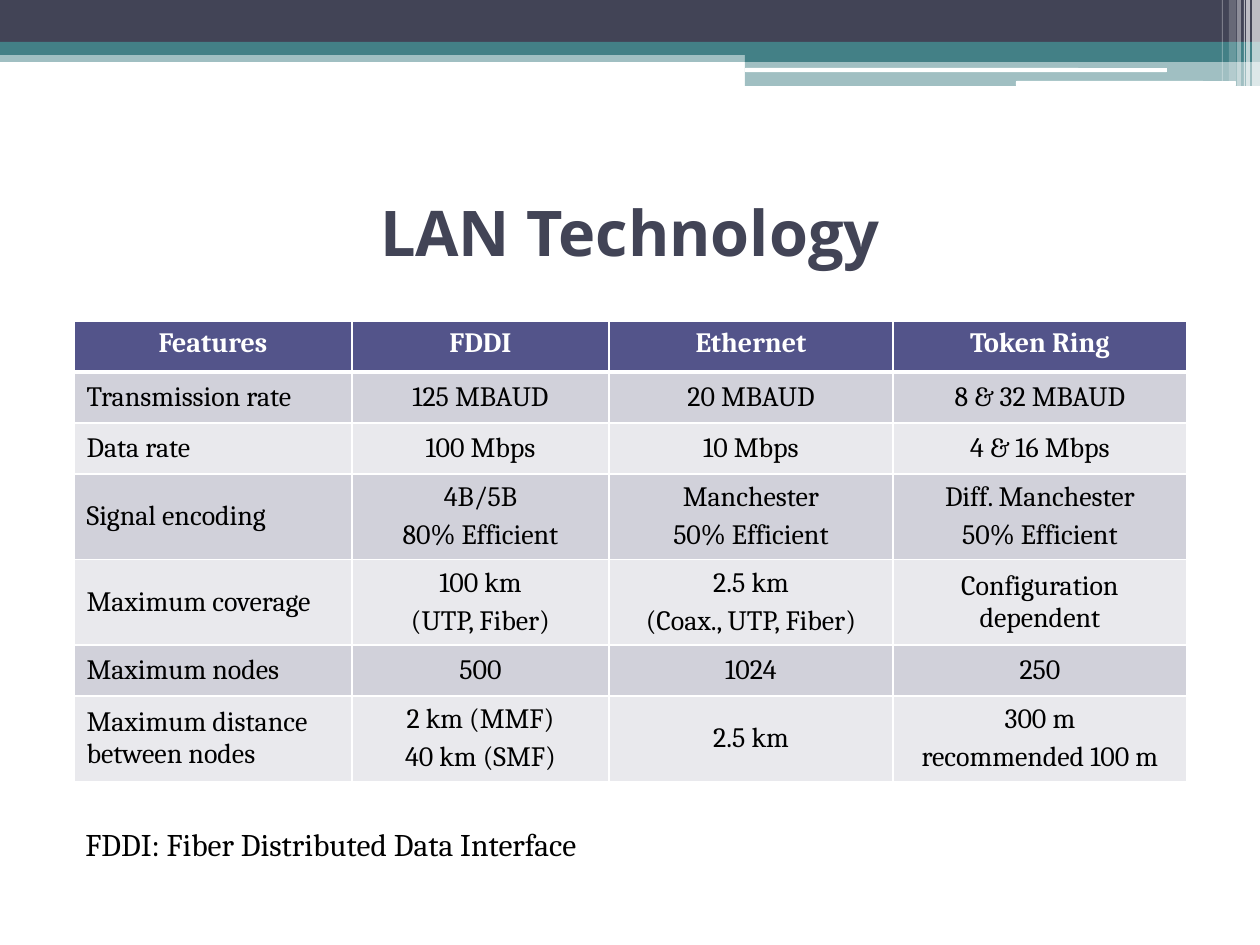
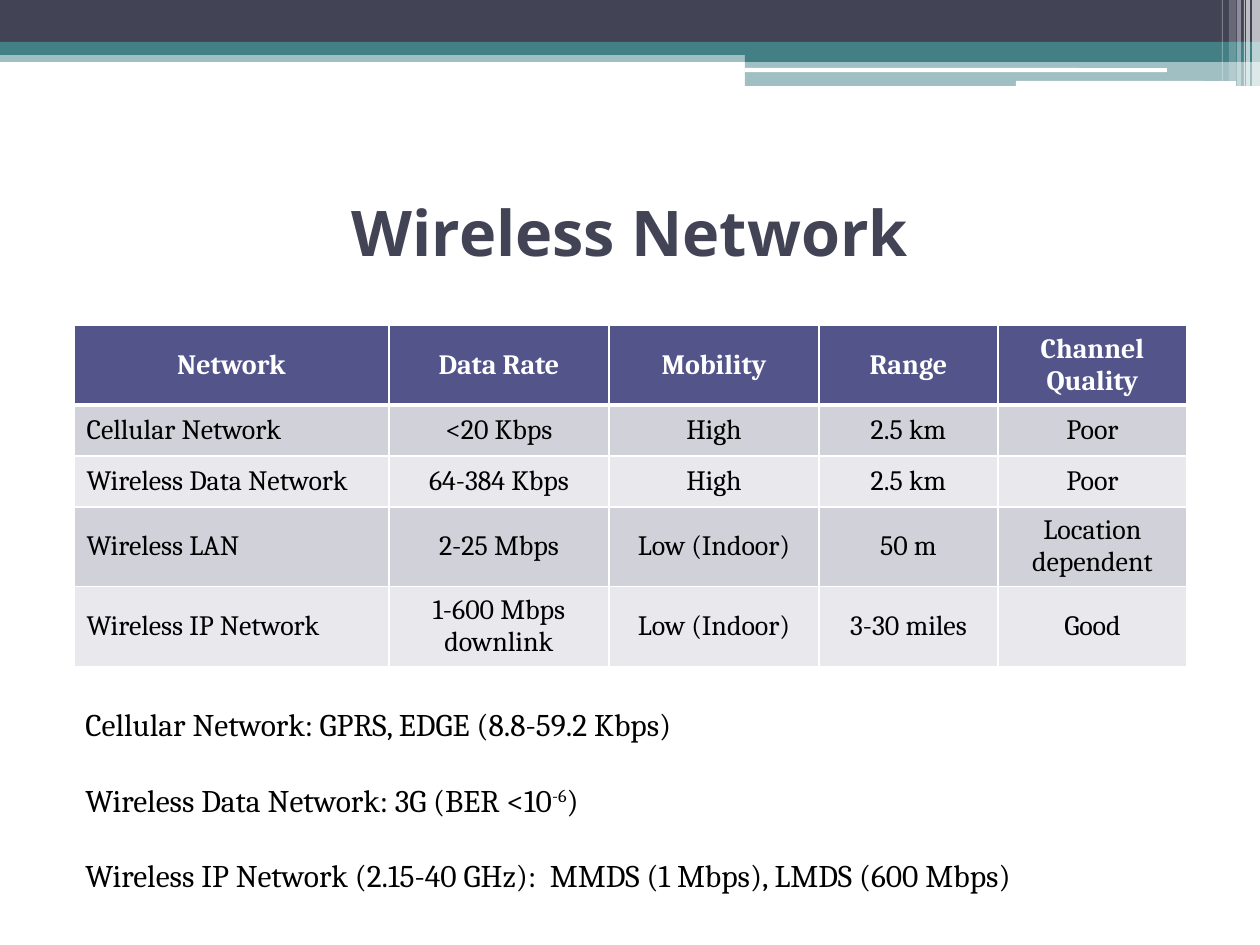
from lxml.etree import SubElement
from pptx import Presentation
from pptx.dml.color import RGBColor
from pptx.enum.shapes import MSO_SHAPE as Shape
from pptx.enum.text import MSO_ANCHOR as Anchor, PP_ALIGN as Align
from pptx.oxml.ns import qn
from pptx.util import Emu, Pt

# Shared look
WIDTH, HEIGHT = 1260, 945
INK, TEAL, WHITE, BLACK = "424456", "438086", "FFFFFF", "000000"
HEADER, STRIPES = "53548A", ("D1D1DA", "E9E9ED")
TITLE_FONT, BODY_FONT = "Open Sans", "Cambria"
TABLE_LEFT = 74

# Top bands, back to front: left, top, width, height, colour, opacity in percent
BANDS = [
    (0, 50, WIDTH, 12, TEAL, 50),
    (0, 0, WIDTH, 43, INK, 100),
    (0, 42, WIDTH, 13, TEAL, 100),
    (745, 49, 515, 13, TEAL, 100),
    (745, 61, 515, 25, TEAL, 50),
]
PILLS = [(745, 68, 422, 4, WHITE, 100), (1016, 81, 220, 5, WHITE, 100)]
STREAKS = [
    (1252, 0, 8, 86, WHITE, 65),
    (1246, 0, 4, 86, WHITE, 65),
    (1244, 0, 1, 86, WHITE, 60),
    (1237, 0, 4, 86, WHITE, 40),
    (1229, 0, 7, 81, WHITE, 20),
    (1222, 0, 1, 81, WHITE, 30),
]

# Content; a note is a list of (text, is superscript) spans
PAGES = [
    {
        "title": "LAN Technology",
        "top": 321,
        "columns": [278, 257, 284, 294],
        "heights": [51, 51, 51, 82, 82, 51, 82],
        "header_anchor": Anchor.TOP,
        "gap": 3.2,
        "rows": [
            ("Features", "FDDI", "Ethernet", "Token Ring"),
            ("Transmission rate", "125 MBAUD", "20 MBAUD", "8 & 32 MBAUD"),
            ("Data rate", "100 Mbps", "10 Mbps", "4 & 16 Mbps"),
            ("Signal encoding", "4B/5B\n80% Efficient",
             "Manchester\n50% Efficient", "Diff. Manchester\n50% Efficient"),
            ("Maximum coverage", "100 km\n(UTP, Fiber)",
             "2.5 km\n(Coax., UTP, Fiber)", "Configuration dependent"),
            ("Maximum nodes", "500", "1024", "250"),
            ("Maximum distance between nodes", "2 km (MMF)\n40 km (SMF)",
             "2.5 km", "300 m\nrecommended 100 m"),
        ],
        "notes_box": (73, 819, 576, 50),
        "notes": [[("FDDI: Fiber Distributed Data Interface", False)]],
    },
    {
        "title": "Wireless Network",
        "top": 325,
        "columns": [315, 220, 210, 179, 189],
        "heights": [77, 51, 51, 77, 77],
        "header_anchor": Anchor.MIDDLE,
        "gap": 0,
        "rows": [
            ("Network", "Data Rate", "Mobility", "Range", "Channel Quality"),
            ("Cellular Network", "<20 Kbps", "High", "2.5 km", "Poor"),
            ("Wireless Data Network", "64-384 Kbps", "High", "2.5 km", "Poor"),
            ("Wireless LAN", "2-25 Mbps", "Low (Indoor)", "50 m",
             "Location dependent"),
            ("Wireless IP Network", "1-600 Mbps downlink", "Low (Indoor)",
             "3-30 miles", "Good"),
        ],
        "notes_box": (73, 699, 1113, 204),
        "notes": [
            [("Cellular Network: GPRS, EDGE (8.8-59.2 Kbps)", False)],
            [("Wireless Data Network: 3G (BER <10", False), ("-6", True), (")", False)],
            [("Wireless IP Network (2.15-40 GHz):  MMDS (1 Mbps), LMDS (600 Mbps)", False)],
        ],
    },
]


def px(length):
    return Emu(round(length * 914400 / 126))


def color(code):
    return RGBColor.from_string(code)


def style(para, font, size, code, bold=False, align=Align.LEFT):
    para.alignment = align
    para.font.name, para.font.size, para.font.bold = font, Pt(size), bold
    para.font.color.rgb = color(code)


def add_band(page, kind, band):
    *place, code, opacity = band
    shape = page.shapes.add_shape(kind, *map(px, place))
    shape.shadow.inherit = False
    shape.line.fill.background()
    shape.fill.solid()
    shape.fill.fore_color.rgb = color(code)
    if opacity < 100:
        tint = shape._element.spPr.find(".//" + qn("a:srgbClr"))
        SubElement(tint, qn("a:alpha"), val=str(opacity * 1000))


def add_text_box(page, place, wrap=True):
    frame = page.shapes.add_textbox(*map(px, place)).text_frame
    frame.word_wrap = wrap
    return frame


def add_title(page, text):
    frame = add_text_box(page, (63, 158, 1134, 147))
    frame.vertical_anchor = Anchor.MIDDLE
    frame.text = text
    style(frame.paragraphs[0], TITLE_FONT, 36, INK, True, Align.CENTER)


def set_borders(cell, widths):
    # Borders must come before the cell's fill in the XML
    properties = cell._tc.get_or_add_tcPr()
    for side, width in widths.items():
        line = SubElement(properties, qn("a:ln" + side), w=str(Pt(width)))
        SubElement(SubElement(line, qn("a:solidFill")), qn("a:srgbClr"), val=WHITE)


def add_table(page, content):
    rows, columns, heights = content["rows"], content["columns"], content["heights"]
    table = page.shapes.add_table(
        len(rows), len(columns), px(TABLE_LEFT), px(content["top"]),
        px(sum(columns)), px(sum(heights))).table
    for column, width in zip(table.columns, columns):
        column.width = px(width)
    for r, (row, height) in enumerate(zip(rows, heights)):
        table.rows[r].height = px(height)
        is_header = r == 0
        for c, text in enumerate(row):
            cell = table.cell(r, c)
            set_borders(cell, {"L": 1, "R": 1, "T": 3 if r == 1 else 1,
                               "B": 3 if is_header else 1})
            cell.fill.solid()
            cell.fill.fore_color.rgb = color(HEADER if is_header else STRIPES[(r - 1) % 2])
            cell.vertical_anchor = content["header_anchor"] if is_header else Anchor.MIDDLE
            cell.text_frame.text = text
            align = Align.CENTER if is_header or c else Align.LEFT
            for para in cell.text_frame.paragraphs:
                style(para, BODY_FONT, 16, WHITE if is_header else BLACK, is_header, align)
                para.space_before = Pt(content["gap"])


def add_notes(page, place, notes):
    frame = add_text_box(page, place, wrap=len(notes) > 1)
    for i, spans in enumerate(notes):
        para = frame.add_paragraph() if i else frame.paragraphs[0]
        style(para, BODY_FONT, 18, BLACK)
        para.space_before = Pt(21.6 if i else 0)
        for text, is_superscript in spans:
            span = para.add_run()
            span.text = text
            if is_superscript:
                span._r.get_or_add_rPr().set("baseline", "30000")


deck = Presentation()
deck.slide_width, deck.slide_height = px(WIDTH), px(HEIGHT)
for content in PAGES:
    page = deck.slides.add_slide(deck.slide_layouts[6])
    for kind, bands in ((Shape.RECTANGLE, BANDS), (Shape.ROUNDED_RECTANGLE, PILLS),
                        (Shape.RECTANGLE, STREAKS)):
        for band in bands:
            add_band(page, kind, band)
    add_title(page, content["title"])
    add_table(page, content)
    add_notes(page, content["notes_box"], content["notes"])
deck.save("out.pptx")
